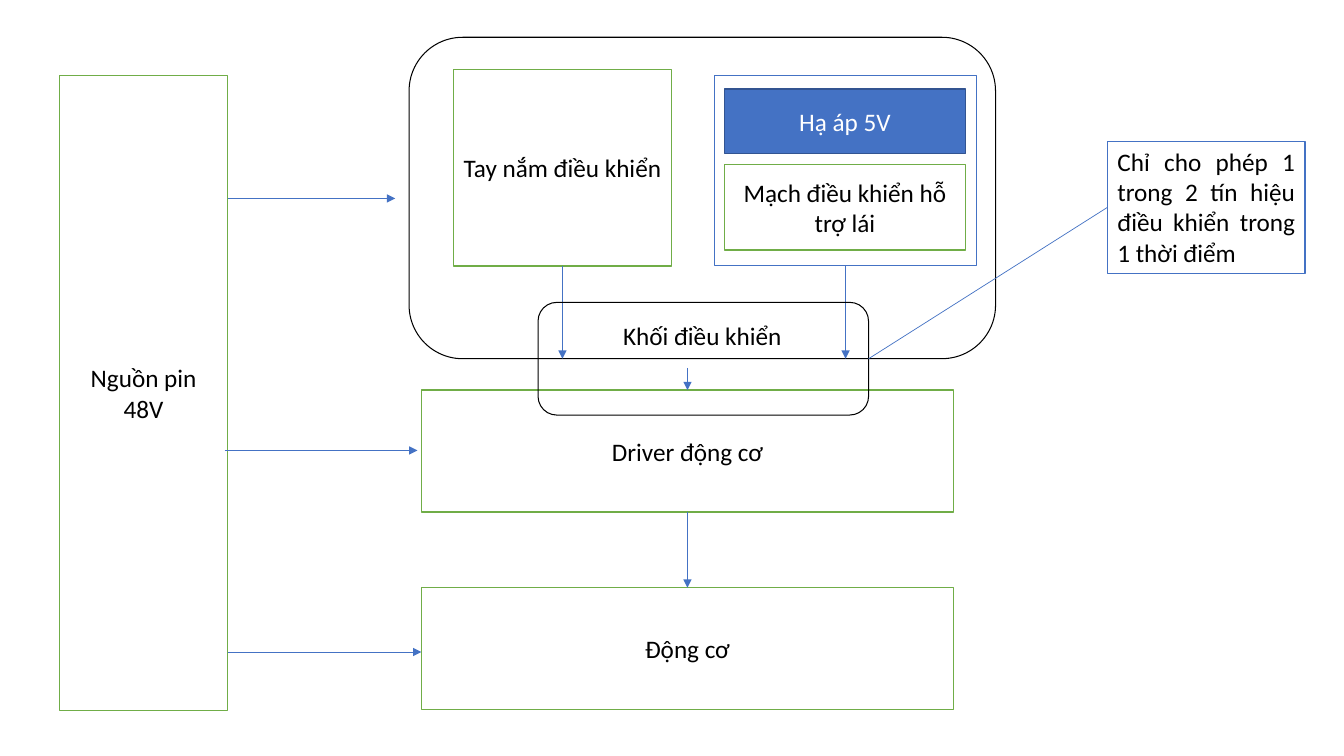
from lxml import etree
from pptx import Presentation
from pptx.dml.color import RGBColor
from pptx.enum.shapes import MSO_CONNECTOR, MSO_SHAPE
from pptx.enum.text import MSO_ANCHOR, MSO_AUTO_SIZE, PP_ALIGN
from pptx.oxml.ns import qn
from pptx.util import Cm, Pt

RECT = MSO_SHAPE.RECTANGLE
ROUNDED = MSO_SHAPE.ROUNDED_RECTANGLE
STRAIGHT = MSO_CONNECTOR.STRAIGHT
MIDDLE, TOP = MSO_ANCHOR.MIDDLE, MSO_ANCHOR.TOP
CENTER, JUSTIFY = PP_ALIGN.CENTER, PP_ALIGN.JUSTIFY
GROW = MSO_AUTO_SIZE.SHAPE_TO_FIT_TEXT

COLORS = {
    "white": "FFFFFF",
    "black": "000000",
    "green": "70AD47",
    "blue": "4472C4",
    "navy": "325491",
}
FONT = "Calibri"


def color(name):
    return RGBColor.from_string(COLORS[name])


def add_block(slide, box, outline, weight=1, fill=None, kind=RECT):
    block = slide.shapes.add_shape(kind, *[Cm(length) for length in box])
    block.shadow.inherit = False
    if fill:
        block.fill.solid()
        block.fill.fore_color.rgb = color(fill)
    else:
        block.fill.background()
    block.line.color.rgb = color(outline)
    block.line.width = Pt(weight)
    return block


def write(block, wording, ink="black", align=CENTER, anchor=MIDDLE):
    frame = block.text_frame
    frame.word_wrap = True
    frame.vertical_anchor = anchor
    paragraph = frame.paragraphs[0]
    paragraph.alignment = align
    run = paragraph.add_run()
    run.text = wording
    run.font.name = FONT
    run.font.size = Pt(18)
    run.font.color.rgb = color(ink)


def add_labelled(slide, box, wording, outline="green", fill="white", ink="black"):
    write(add_block(slide, box, outline, fill=fill), wording, ink)


def add_link(slide, start, end, arrow=True):
    link = slide.shapes.add_connector(STRAIGHT, *[Cm(length) for length in start + end])
    link.line.color.rgb = color("blue")
    link.line.width = Pt(0.5)
    properties = link._element.spPr
    if arrow:
        head = etree.SubElement(properties.find(qn("a:ln")), qn("a:tailEnd"))
        head.set("type", "triangle")
    etree.SubElement(properties, qn("a:effectLst"))


def add_drive(slide, box):
    left, top, width, height = box
    stage_height = 3.07
    motor_top = top + height - stage_height
    middle = left + width / 2
    add_labelled(slide, (left, motor_top, width, stage_height), "Động cơ")
    add_labelled(slide, (left, top, width, stage_height), "Driver động cơ")
    add_link(slide, (middle, top + stage_height), (middle, motor_top))
    add_link(slide, (middle, top - 0.56), (middle, top))


def add_battery(slide, box):
    left, top, width, height = box
    right = left + width
    add_labelled(slide, box, "Nguồn pin 48V")
    for indent, drop, length in ((0, 3.1, 4.22), (0.08, 9.45, 4.86), (0, 14.53, 4.88)):
        start = right - indent
        add_link(slide, (start, top + drop), (start + length, top + drop))


def add_steering_assist(slide, box):
    left, top, width, height = box
    inner_left, inner_width = left + 0.25, width - 0.53
    add_labelled(slide, (inner_left, top + 2.24, inner_width, 2.16),
                 "Mạch điều khiển hỗ trợ lái")
    add_labelled(slide, (inner_left, top + 0.34, inner_width, 1.63),
                 "Hạ áp 5V", "navy", "blue", "white")
    add_block(slide, box, "blue", 0.75)


def add_control(slide, box):
    left, top, width, height = box
    bottom = top + height
    handle_left, handle_top = left + 1.12, top + 0.81
    handle_width, handle_height = 5.49, 4.95
    handle_middle = handle_left + handle_width / 2
    units_bottom = handle_top + handle_height
    assist_left, assist_width, assist_height = left + 7.7, 6.6, 4.8
    assist_middle = assist_left + assist_width / 2

    add_labelled(slide, (handle_left, handle_top, handle_width, handle_height),
                 "Tay nắm điều khiển")
    add_steering_assist(slide, (assist_left, units_bottom - assist_height,
                                assist_width, assist_height))
    control = add_block(slide, box, "black", 0.75, kind=ROUNDED)
    write(control, "Khối điều khiển")
    control.text_frame.margin_top = Cm(6.93)
    control.text_frame.margin_bottom = 0
    for middle in (handle_middle, assist_middle):
        add_link(slide, (middle, units_bottom), (middle, bottom))


def add_interlock(slide, box, note_box):
    left, top, width, height = box
    note_left, note_top, note_width, note_height = note_box
    add_block(slide, box, "black", 0.75, kind=ROUNDED)
    note = add_block(slide, note_box, "blue", fill="white")
    write(note, "Chỉ cho phép 1 trong 2 tín hiệu điều khiển trong 1 thời điểm",
          align=JUSTIFY, anchor=TOP)
    note.text_frame.auto_size = GROW
    add_link(slide, (left + width, top + height / 2),
             (note_left, note_top + note_height / 2), arrow=False)


def main():
    deck = Presentation()
    deck.slide_width, deck.slide_height = Cm(33.87), Cm(19.05)
    slide = deck.slides.add_slide(deck.slide_layouts[6])
    add_drive(slide, (10.62, 9.83, 13.41, 8.05))
    add_battery(slide, (1.5, 1.9, 4.24, 16))
    add_control(slide, (10.31, 0.94, 14.78, 8.1))
    add_interlock(slide, (13.56, 7.62, 8.33, 2.84), (27.91, 3.56, 4.98, 3.33))
    deck.save("out.pptx")


if __name__ == "__main__":
    main()
